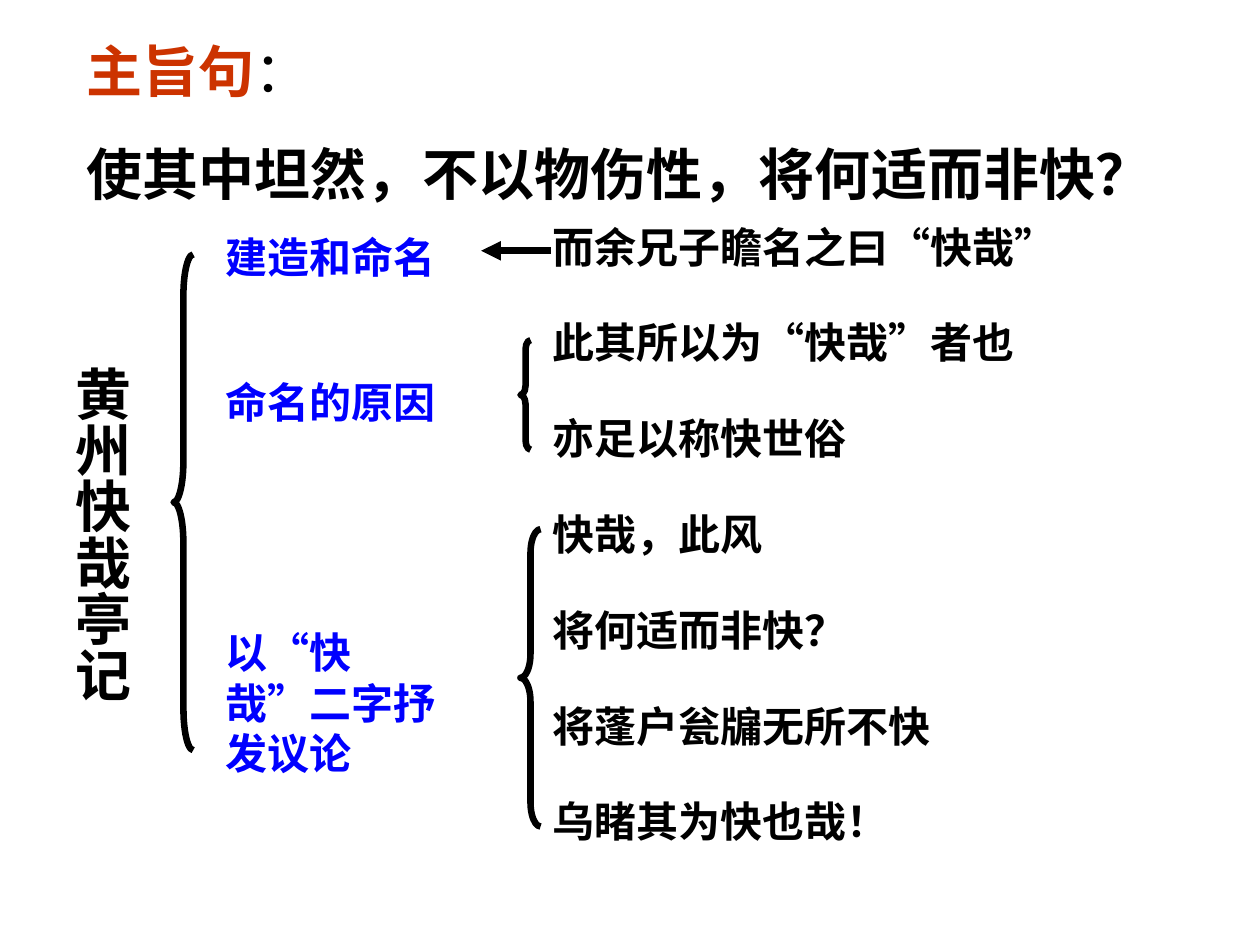
from itertools import groupby

from lxml import etree
from pptx import Presentation
from pptx.dml.color import RGBColor
from pptx.enum import shapes, text
from pptx.oxml.ns import qn
from pptx.util import Pt

COLORS = {"black": "000000", "blue": "0000FF", "red": "CC3300"}
LATIN, CHINESE = "Arial", "Noto Sans CJK SC"

# Content: each paragraph is a list of (wording, colour, bold)
HEADING = [
    [("主旨句", "red", True), ("：", "black", False)],
    [("使其中坦然，不以物伤性，将何适而非快？", "black", True)],
]
ESSAY_TITLE = "黄州快哉亭记"
QUOTATIONS = [
    "而余兄子瞻名之曰“快哉”",
    "此其所以为“快哉”者也",
    "亦足以称快世俗",
    "快哉，此风",
    "将何适而非快？",
    "将蓬户瓮牖无所不快",
    "乌睹其为快也哉！",
]
# wording, top, width, height
TOPICS = [
    ("建造和命名", 126.7, 159, 36),
    ("命名的原因", 209.5, 159, 36),
    ("以“快哉”二字抒发议论", 352.8, 141.8, 93.6),
]
# left, top, width, height, curve depth relative to width
BRACES = [
    (99.2, 145.4, 11.2, 283.3, 2.1),
    (297.4, 194.4, 5.8, 62.6, 0.9),
    (297.4, 302.4, 11.5, 169.9, 1.2),
]
QUOTATION_LEFT, QUOTATION_TOP, QUOTATION_STEP = 308.9, 121, 54.72
TOPIC_LEFT = 121.7
LINE_WIDTH = 3.75

presentation = Presentation()
presentation.slide_width, presentation.slide_height = Pt(720), Pt(540)
slide = presentation.slides.add_slide(presentation.slide_layouts[6])


def color(name):
    return RGBColor.from_string(COLORS[name])


def add_run(paragraph, wording, size, color_name, bold, latin):
    run = paragraph.add_run()
    run.text = wording
    run.font.size, run.font.bold, run.font.name = Pt(size), bold, latin
    run.font.color.rgb = color(color_name)
    east_asian = etree.Element(qn("a:ea"), typeface=CHINESE)
    run.font._element.find(qn("a:latin")).addnext(east_asian)


def add_text(box, paragraphs, size, insets, latin=CHINESE):
    """Place text in a box; quotation marks take the Latin font."""
    shape = slide.shapes.add_textbox(*map(Pt, box))
    frame = shape.text_frame
    frame.word_wrap = True
    frame.auto_size = text.MSO_AUTO_SIZE.NONE
    (frame.margin_left, frame.margin_top,
     frame.margin_right, frame.margin_bottom) = map(Pt, insets)
    for index, pieces in enumerate(paragraphs):
        paragraph = frame.add_paragraph() if index else frame.paragraphs[0]
        paragraph.line_spacing = Pt(size * 1.2)
        if index:
            paragraph.space_before = Pt(20)
        for wording, color_name, bold in pieces:
            for is_quote, letters in groupby(wording, lambda c: c in "“”"):
                add_run(paragraph, "".join(letters), size, color_name, bold,
                        LATIN if is_quote else latin)
    return frame


# Quotations in equal rows
body_insets = (7.2, 5.4, 7.2, 1.8)
for row, wording in enumerate(QUOTATIONS):
    add_text((QUOTATION_LEFT, QUOTATION_TOP + row * QUOTATION_STEP, 363, 36),
             [[(wording, "black", True)]], 24, body_insets)

# Topics
for wording, top, width, height in TOPICS:
    add_text((TOPIC_LEFT, top, width, height),
             [[(wording, "blue", True)]], 24, body_insets)

# Arrow from the first quotation to its topic
arrow = slide.shapes.add_connector(
    shapes.MSO_CONNECTOR.STRAIGHT, Pt(314.6), Pt(143.3), Pt(275), Pt(143.3))
arrow.line.width = Pt(LINE_WIDTH)
arrow.line.color.rgb = color("black")
etree.SubElement(arrow.line._get_or_add_ln(), qn("a:tailEnd"), type="triangle")
etree.SubElement(arrow._element.spPr, qn("a:effectLst"))

# Braces
for left, top, width, height, depth in BRACES:
    brace = slide.shapes.add_shape(
        shapes.MSO_SHAPE.LEFT_BRACE, Pt(left), Pt(top), Pt(width), Pt(height))
    brace.adjustments[0] = depth
    brace.shadow.inherit = False
    brace.fill.background()
    brace.line.width = Pt(LINE_WIDTH)
    brace.line.color.rgb = color("black")

# Vertical essay title
title_frame = add_text((29.5, 202.3, 52.6, 249.1),
                       [[(ESSAY_TITLE, "black", True)]], 32,
                       (3.6, 7.2, 5, 7.2), LATIN)
title_frame._txBody.bodyPr.set("vert", "eaVert")
title_frame.paragraphs[0].alignment = text.PP_ALIGN.CENTER

# Heading
add_text((42.5, 15.1, 663, 104.4), HEADING, 32, (7.2, 6, 7.2, 1.2), LATIN)

presentation.save("out.pptx")
